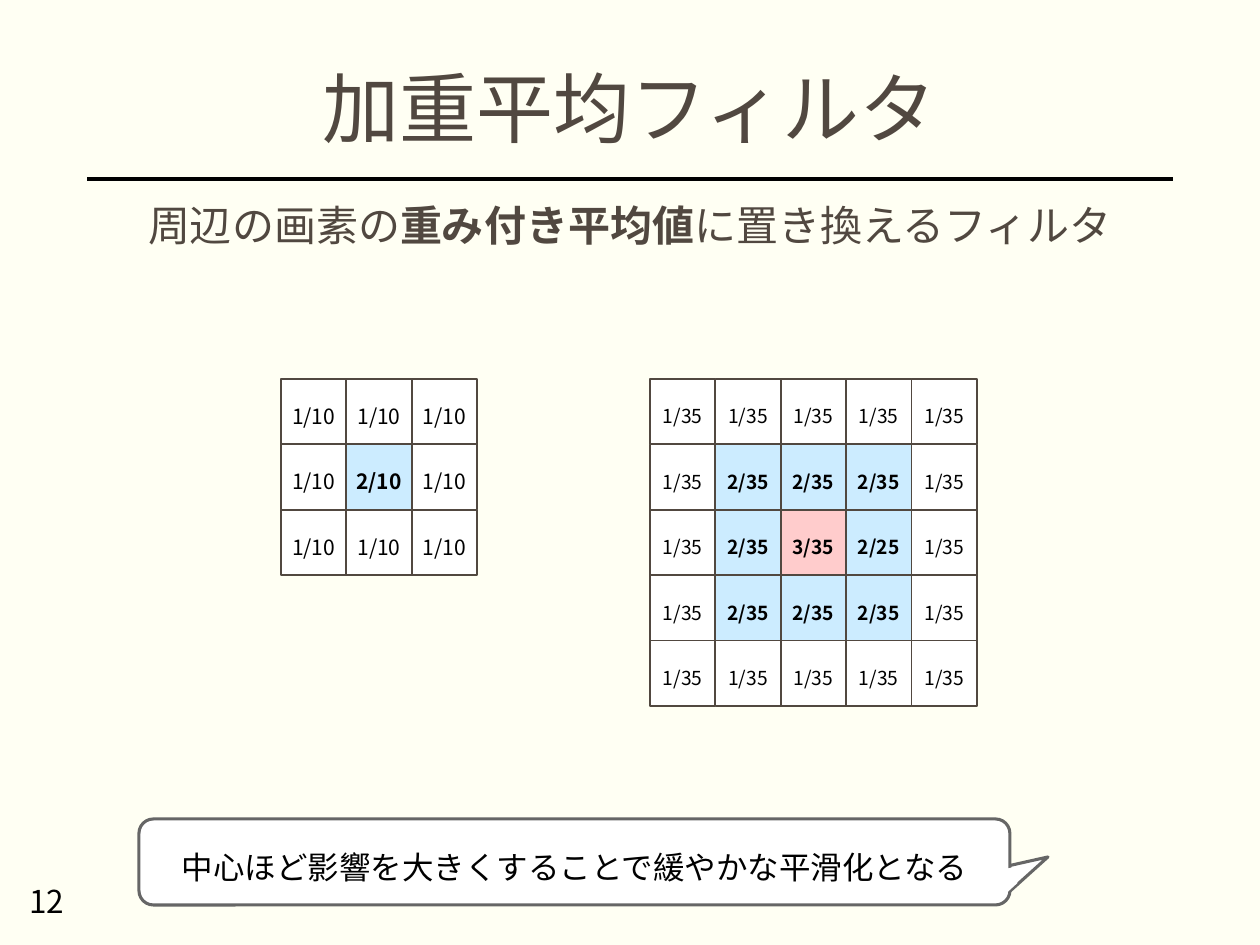
from dataclasses import dataclass

import lxml.etree
import pptx
import pptx.dml.color
import pptx.enum.shapes
import pptx.enum.text
import pptx.oxml.ns
import pptx.util

PX_PER_INCH = 126
FONT = "Noto Sans CJK JP"
COLORS = {
    "background": "FFFFF3", "heading": "514840", "text": "000000",
    "white": "FFFFFF", "blue": "CCECFF", "pink": "FFCCCC", "bubble": "666666",
}
WEIGHT_FILLS = {"1": "white", "2": "blue", "3": "pink"}
ALIGN = pptx.enum.text.PP_ALIGN
ANCHOR = pptx.enum.text.MSO_ANCHOR
SHAPE = pptx.enum.shapes.MSO_SHAPE


@dataclass
class Run:
    text: str
    size: int
    color: str = "text"
    bold: bool = False


@dataclass
class Box:
    left: float
    top: float
    width: float
    height: float

    def emu(self) -> list[int]:
        return [px(v) for v in (self.left, self.top, self.width, self.height)]


@dataclass
class FilterGrid:
    left: int
    top: int
    span: int
    size: int
    rows: list[str]


@dataclass
class Patch:
    box: Box
    rotation: float


GRIDS = [
    FilterGrid(281, 379, 196, 12, [
        "1/10 1/10 1/10",
        "1/10 2/10 1/10",
        "1/10 1/10 1/10",
    ]),
    FilterGrid(650, 379, 327, 11, [
        "1/35 1/35 1/35 1/35 1/35",
        "1/35 2/35 2/35 2/35 1/35",
        "1/35 2/35 3/35 2/25 1/35",
        "1/35 2/35 2/35 2/35 1/35",
        "1/35 1/35 1/35 1/35 1/35",
    ]),
]
PATCHES = [Patch(Box(1000, 864, 11, 21), 78), Patch(Box(1004, 877, 10, 14), 47.5)]


def px(value: float) -> int:
    return round(value * 914400 / PX_PER_INCH)


def rgb(name: str) -> pptx.dml.color.RGBColor:
    return pptx.dml.color.RGBColor.from_string(COLORS[name])


def write(shape, runs: list[Run], align=ALIGN.CENTER, anchor=ANCHOR.MIDDLE,
          insets=(13, 6, 13, 6), wrap=True, spacing=1.0) -> None:
    frame = shape.text_frame
    frame.word_wrap = wrap
    frame.auto_size = pptx.enum.text.MSO_AUTO_SIZE.NONE
    frame.vertical_anchor = anchor
    (frame.margin_left, frame.margin_top,
     frame.margin_right, frame.margin_bottom) = map(px, insets)
    paragraph = frame.paragraphs[0]
    paragraph.alignment = align
    paragraph.line_spacing = spacing
    for item in runs:
        run = paragraph.add_run()
        run.text = item.text
        run.font.size = pptx.util.Pt(item.size)
        run.font.bold = item.bold
        run.font.color.rgb = rgb(item.color)
        run.font.name = FONT
        east_asian = lxml.etree.SubElement(
            run.font._element, pptx.oxml.ns.qn("a:ea"))
        east_asian.set("typeface", FONT)


def style(shape, fill: str, line: str | None = None, width: float = 1) -> None:
    shape.shadow.inherit = False
    shape.fill.solid()
    shape.fill.fore_color.rgb = rgb(fill)
    if line is None:
        shape.line.fill.background()
    else:
        shape.line.color.rgb = rgb(line)
        shape.line.width = pptx.util.Pt(width)


def draw_grid(slide, grid: FilterGrid) -> None:
    cell = grid.span / len(grid.rows)
    for row, line in enumerate(grid.rows):
        for column, weight in enumerate(line.split()):
            box = Box(grid.left + column * cell, grid.top + row * cell, cell, cell)
            shape = slide.shapes.add_shape(SHAPE.RECTANGLE, *box.emu())
            style(shape, WEIGHT_FILLS[weight[0]], "heading")
            bold = weight[0] != "1"
            write(shape, [Run(weight, grid.size, bold=bold)], insets=(4, 15, 4, 6))


def draw_rule(slide) -> None:
    rule = slide.shapes.add_connector(
        pptx.enum.shapes.MSO_CONNECTOR.STRAIGHT, px(1173), px(179), px(87), px(179))
    rule.line.color.rgb = rgb("text")
    rule.line.width = pptx.util.Pt(2)
    lxml.etree.SubElement(rule._element.spPr, pptx.oxml.ns.qn("a:effectLst"))


def draw_bubble(slide, text: str) -> None:
    builder = slide.shapes.build_freeform(px(1008), px(866))
    builder.add_line_segments(
        [(px(1048), px(857)), (px(1008), px(893))], close=True)
    style(builder.convert_to_shape(), "white", "bubble", 1.75)

    body = slide.shapes.add_shape(
        SHAPE.ROUNDED_RECTANGLE, *Box(139, 819, 871, 86).emu())
    style(body, "white", "bubble", 1.75)
    write(body, [Run(text, 18)], insets=(13, 15, 13, 6), wrap=False)

    # Patches open the outline between the body and its tail
    for patch in PATCHES:
        shape = slide.shapes.add_shape(SHAPE.RECTANGLE, *patch.box.emu())
        shape.rotation = patch.rotation
        style(shape, "white")


def main() -> None:
    presentation = pptx.Presentation()
    presentation.slide_width = px(1260)
    presentation.slide_height = px(945)
    slide = presentation.slides.add_slide(presentation.slide_layouts[5])
    slide.background.fill.solid()
    slide.background.fill.fore_color.rgb = rgb("background")

    # Title and rule
    title = slide.shapes.title
    title.left, title.top, title.width, title.height = Box(87, 59, 1086, 108).emu()
    write(title, [Run("加重平均フィルタ", 44, "heading")], spacing=0.9)
    draw_rule(slide)

    # Definition
    definition = slide.shapes.add_textbox(*Box(87, 199, 1086, 95).emu())
    write(definition, [
        Run("周辺の画素の", 24, "heading"),
        Run("重み付き平均値", 24, "heading", True),
        Run("に置き換えるフィルタ", 24, "heading"),
    ], anchor=ANCHOR.TOP, spacing=0.9)

    # Filter weights
    for grid in GRIDS:
        draw_grid(slide, grid)

    # Remark and page number
    draw_bubble(slide, "中心ほど影響を大きくすることで緩やかな平滑化となる")
    number = slide.shapes.add_textbox(*Box(16, 876, 284, 50).emu())
    write(number, [Run("12", 18)], align=ALIGN.LEFT, anchor=ANCHOR.TOP)

    presentation.save("out.pptx")


if __name__ == "__main__":
    main()
